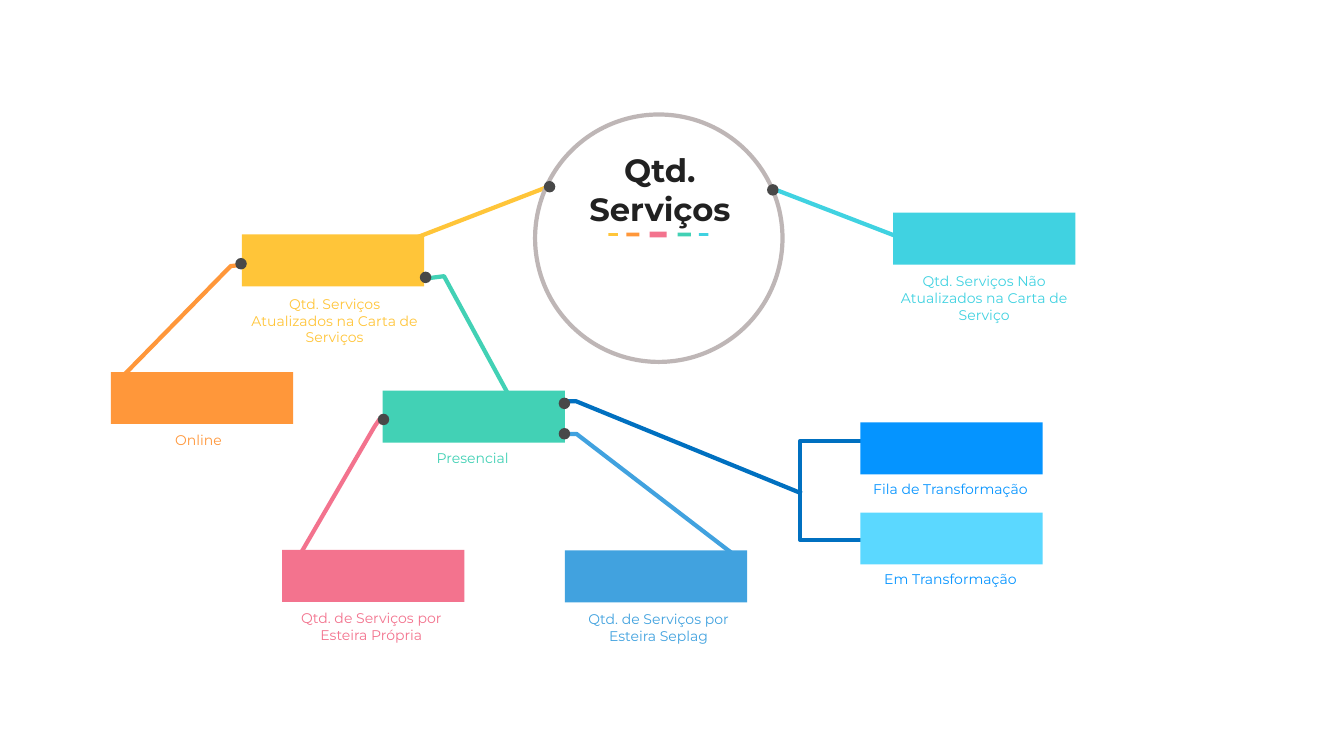
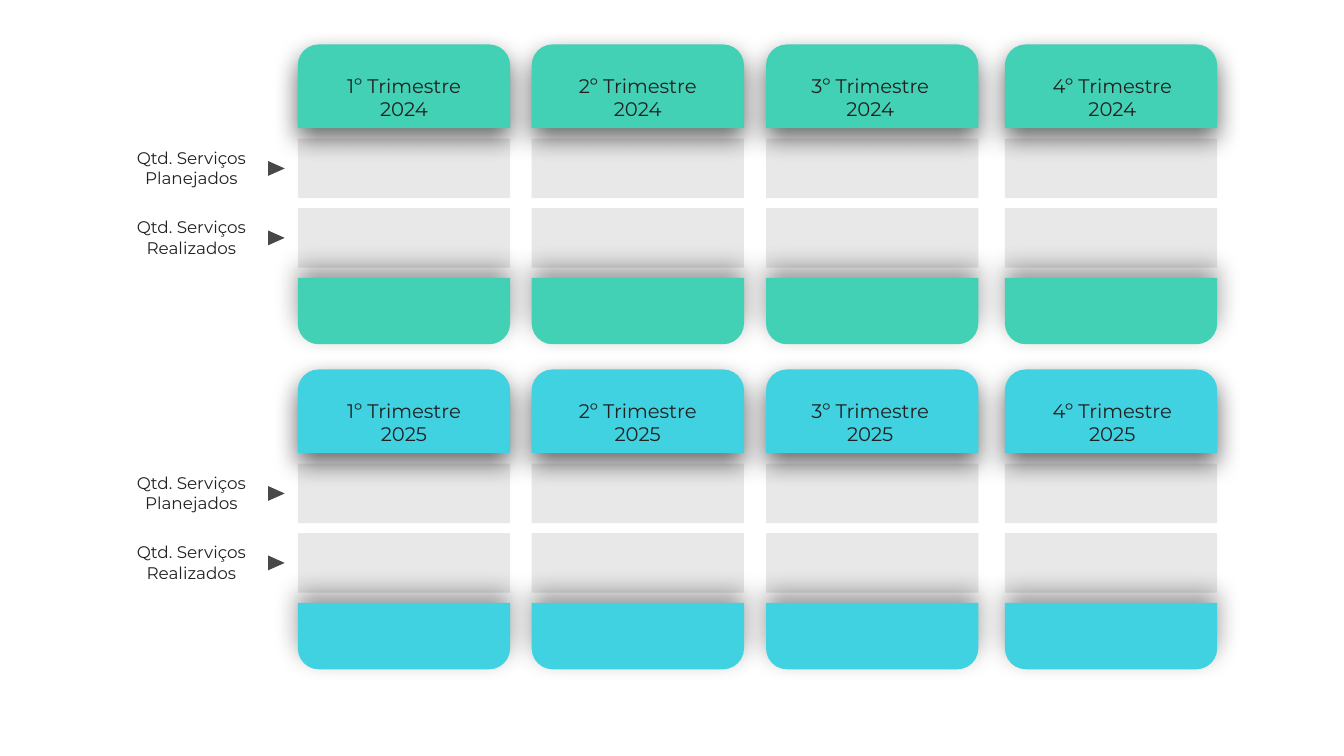
from lxml.etree import SubElement
from pptx import Presentation
from pptx.dml.color import RGBColor
from pptx.enum.shapes import MSO_CONNECTOR, MSO_SHAPE
from pptx.enum.text import MSO_ANCHOR, MSO_AUTO_SIZE, PP_ALIGN
from pptx.oxml.ns import qn
from pptx.util import Cm, Pt

WHITE = RGBColor(0xFF, 0xFF, 0xFF)
INK = RGBColor(0x21, 0x21, 0x21)
CHARCOAL = RGBColor(0x48, 0x48, 0x48)
RING = RGBColor(0xBE, 0xB6, 0xB6)
PALE = RGBColor(0xE8, 0xE8, 0xE8)
YELLOW = RGBColor(0xFF, 0xC5, 0x39)
ORANGE = RGBColor(0xFF, 0x97, 0x3A)
PINK = RGBColor(0xF3, 0x73, 0x8E)
GREEN = RGBColor(0x42, 0xD1, 0xB5)
CYAN = RGBColor(0x40, 0xD2, 0xE1)
BLUE = RGBColor(0x41, 0xA2, 0xDF)
AZURE = RGBColor(0x05, 0x94, 0xFF)
SKY = RGBColor(0x5B, 0xD8, 0xFF)
NAVY = RGBColor(0x00, 0x70, 0xC0)

FONT = "Montserrat"
LINE_WIDTH = Pt(6)
TITLE_ONLY, BLANK = 5, 6

BOX_WIDTH, BOX_HEIGHT = 9.19, 2.62
LABEL_WIDTH = 8.89
DOT_SIZE = 0.58

BRANCHES = [
    (YELLOW, [(27.99, 9.27), (20.22, 12.27), (19.74, 12.27)]),
    (ORANGE, [(6.1, 19.05), (11.63, 13.41), (12.09, 13.36)]),
    (PINK, [(14.86, 28.4), (18.87, 21.51), (19.13, 21.13)]),
    (GREEN, [(26.24, 21.01), (22.38, 13.92), (21.36, 14.05)]),
    (CYAN, [(39.01, 9.53), (45.06, 11.86), (45.52, 11.86)]),
    (BLUE, [(37.01, 27.97), (29.06, 21.87), (28.52, 21.87)]),
    (NAVY, [(40.41, 24.87), (29.03, 20.22), (28.45, 20.22)]),
]
FORK = (40.32, 24.87)
FORK_ENDS = [(44.27, 27.2), (44.63, 22.23)]
DOTS = [(27.7, 9.41), (38.95, 9.57), (28.45, 20.33), (28.45, 21.86),
        (19.33, 21.14), (21.45, 13.98), (12.15, 13.29)]
DASHES = [
    (YELLOW, 30.66, 0.48, 0.13),
    (ORANGE, 31.57, 0.66, 0.18),
    (PINK, 32.74, 0.86, 0.28),
    (GREEN, 34.16, 0.66, 0.18),
    (CYAN, 35.23, 0.48, 0.13),
]
DASH_MIDDLE = 11.82
NODES = [
    (YELLOW, (12.19, 11.81), YELLOW, (12.42, 14.76), 3,
     "Qtd. Serviços Atualizados na Carta de Serviços"),
    (ORANGE, (5.59, 18.75), ORANGE, (5.56, 21.62), 1, "Online"),
    (PINK, (14.22, 27.71), PINK, (14.27, 30.58), 2,
     "Qtd. de Serviços por Esteira Própria"),
    (GREEN, (19.28, 19.69), GREEN, (19.38, 22.53), 1, "Presencial"),
    (CYAN, (45.01, 10.72), CYAN, (45.16, 13.61), 3,
     "Qtd. Serviços Não Atualizados na Carta de Serviço"),
    (BLUE, (28.47, 27.74), BLUE, (28.75, 30.63), 2,
     "Qtd. de Serviços por Esteira Seplag"),
    (AZURE, (43.36, 21.29), AZURE, (43.46, 24.08), 1, "Fila de Transformação"),
    (SKY, (43.36, 25.83), AZURE, (43.46, 28.63), 1, "Em Transformação"),
]

YEARS = [(2024, GREEN, 2.24), (2025, CYAN, 18.62)]
QUARTERS = [(15.01, 17.12, 6.48), (26.8, 27.81, 8.66),
            (38.61, 39.62, 8.48), (50.65, 51.64, 8.84)]
MEASURES = [("Qtd. Serviços Planejados", 4.75), ("Qtd. Serviços Realizados", 8.25)]
CARD_WIDTH, CELL_HEIGHT = 10.7, 3
HEAD_HEIGHT, FOOT_HEIGHT, FOOT_OFFSET = 4.22, 3.35, 11.76
CORNER = 1.05
ARROW_LEFT, ARROW_RIGHT, ARROW_HEIGHT = 13.51, 14.35, 0.75


def write_text(frame, text, size=20, color=INK, bold=False):
    frame.word_wrap = True
    frame.auto_size = MSO_AUTO_SIZE.SHAPE_TO_FIT_TEXT
    frame.vertical_anchor = MSO_ANCHOR.TOP
    para = frame.paragraphs[0]
    para.alignment = PP_ALIGN.CENTER
    span = para.add_run()
    span.text = text
    span.font.name = FONT
    span.font.size = Pt(size)
    span.font.bold = bold
    span.font.color.rgb = color


class Painter:
    def __init__(self, deck):
        self.deck = deck
        self.page = None

    def new_page(self, layout):
        self.page = self.deck.slides.add_slide(self.deck.slide_layouts[layout])

    def title(self, text, left, top, width, height):
        box = self.page.shapes.title
        box.left, box.top, box.width, box.height = map(Cm, (left, top, width, height))
        write_text(box.text_frame, text, size=46, bold=True)

    def text(self, text, left, top, width, height, **style):
        box = self.page.shapes.add_textbox(Cm(left), Cm(top), Cm(width), Cm(height))
        write_text(box.text_frame, text, **style)

    def paint(self, shape, fill=None, line=None):
        shape.shadow.inherit = False
        if fill is None:
            shape.fill.background()
        else:
            shape.fill.solid()
            shape.fill.fore_color.rgb = fill
        if line is None:
            shape.line.fill.background()
        else:
            shape.line.color.rgb = line
            shape.line.width = LINE_WIDTH

    def shape(self, kind, left, top, width, height, fill, line=None):
        shape = self.page.shapes.add_shape(kind, Cm(left), Cm(top), Cm(width), Cm(height))
        self.paint(shape, fill, line)
        return shape

    def outline(self, points, fill=None, line=None):
        corners = [(Cm(x), Cm(y)) for x, y in points]
        builder = self.page.shapes.build_freeform(*corners[0])
        builder.add_line_segments(corners[1:], close=fill is not None)
        self.paint(builder.convert_to_shape(), fill, line)

    def elbow(self, start, end, color):
        connector = self.page.shapes.add_connector(
            MSO_CONNECTOR.ELBOW, *map(Cm, start + end))
        connector.line.color.rgb = color
        connector.line.width = LINE_WIDTH
        properties = connector.element.spPr
        SubElement(properties, qn("a:effectLst"))
        guides = properties.find(qn("a:prstGeom")).find(qn("a:avLst"))
        SubElement(guides, qn("a:gd"), name="adj1", fmla="val 0")

    def rounded_card(self, left, top, height, fill, at_top):
        card = self.shape(MSO_SHAPE.ROUND_2_SAME_RECTANGLE, left, top, CARD_WIDTH, height, fill)
        radius = CORNER / height
        card.adjustments[0] = radius if at_top else 0
        card.adjustments[1] = 0 if at_top else radius
        self.shadow(card, 60 if at_top else 40, 90 if at_top else 270)

    def shadow(self, shape, opacity, angle):
        effects = shape.element.spPr.find(qn("a:effectLst"))
        outer = SubElement(effects, qn("a:outerShdw"), blurRad=str(Pt(36)),
                           dist=str(Pt(15)), dir=str(angle * 60000), rotWithShape="0")
        black = SubElement(outer, qn("a:srgbClr"), val="000000")
        SubElement(black, qn("a:alpha"), val=str(opacity * 1000))


def build_service_tree(painter):
    painter.new_page(TITLE_ONLY)
    for end in FORK_ENDS:
        painter.elbow(FORK, end, NAVY)
    for color, points in BRANCHES:
        painter.outline(points, line=color)
    painter.shape(MSO_SHAPE.OVAL, 26.97, 5.77, 12.47, 12.47, WHITE, RING)
    for fill, (left, top), color, (label_left, label_top), lines, label in NODES:
        painter.shape(MSO_SHAPE.RECTANGLE, left, top, BOX_WIDTH, BOX_HEIGHT, fill)
        painter.text(label, label_left, label_top, LABEL_WIDTH, 0.27 + 0.85 * lines, color=color)
    for color, left, width, height in DASHES:
        painter.shape(MSO_SHAPE.RECTANGLE, left, DASH_MIDDLE - height / 2, width, height, color)
    for x, y in DOTS:
        painter.shape(MSO_SHAPE.OVAL, x - DOT_SIZE / 2, y - DOT_SIZE / 2,
                      DOT_SIZE, DOT_SIZE, CHARCOAL)
    title = painter.page.shapes.title.element
    title.getparent().append(title)
    painter.title("Qtd. Serviços", 28.27, 7.47, 9.98, 4.22)


def build_quarters(painter):
    painter.new_page(BLANK)
    for year, color, top in YEARS:
        for measure, offset in MEASURES:
            row = top + offset
            middle = row + CELL_HEIGHT / 2
            painter.text(measure, 6.43, row + 0.33, 6.43, 2.31, size=24)
            painter.outline([(ARROW_LEFT, middle - ARROW_HEIGHT / 2),
                             (ARROW_LEFT, middle + ARROW_HEIGHT / 2),
                             (ARROW_RIGHT, middle)], fill=CHARCOAL)
        for number, (left, text_left, text_width) in enumerate(QUARTERS, 1):
            for measure, offset in MEASURES:
                painter.shape(MSO_SHAPE.RECTANGLE, left, top + offset,
                              CARD_WIDTH, CELL_HEIGHT, PALE)
            painter.rounded_card(left, top, HEAD_HEIGHT, color, at_top=True)
            painter.rounded_card(left, top + FOOT_OFFSET, FOOT_HEIGHT, color, at_top=False)
            painter.text(f"{number}º Trimestre {year}", text_left, top + 1.35,
                         text_width, 2.64, size=28)


def main():
    deck = Presentation()
    deck.slide_width, deck.slide_height = Cm(67.74), Cm(38.1)
    painter = Painter(deck)
    build_service_tree(painter)
    build_quarters(painter)
    deck.save("out.pptx")


if __name__ == "__main__":
    main()
